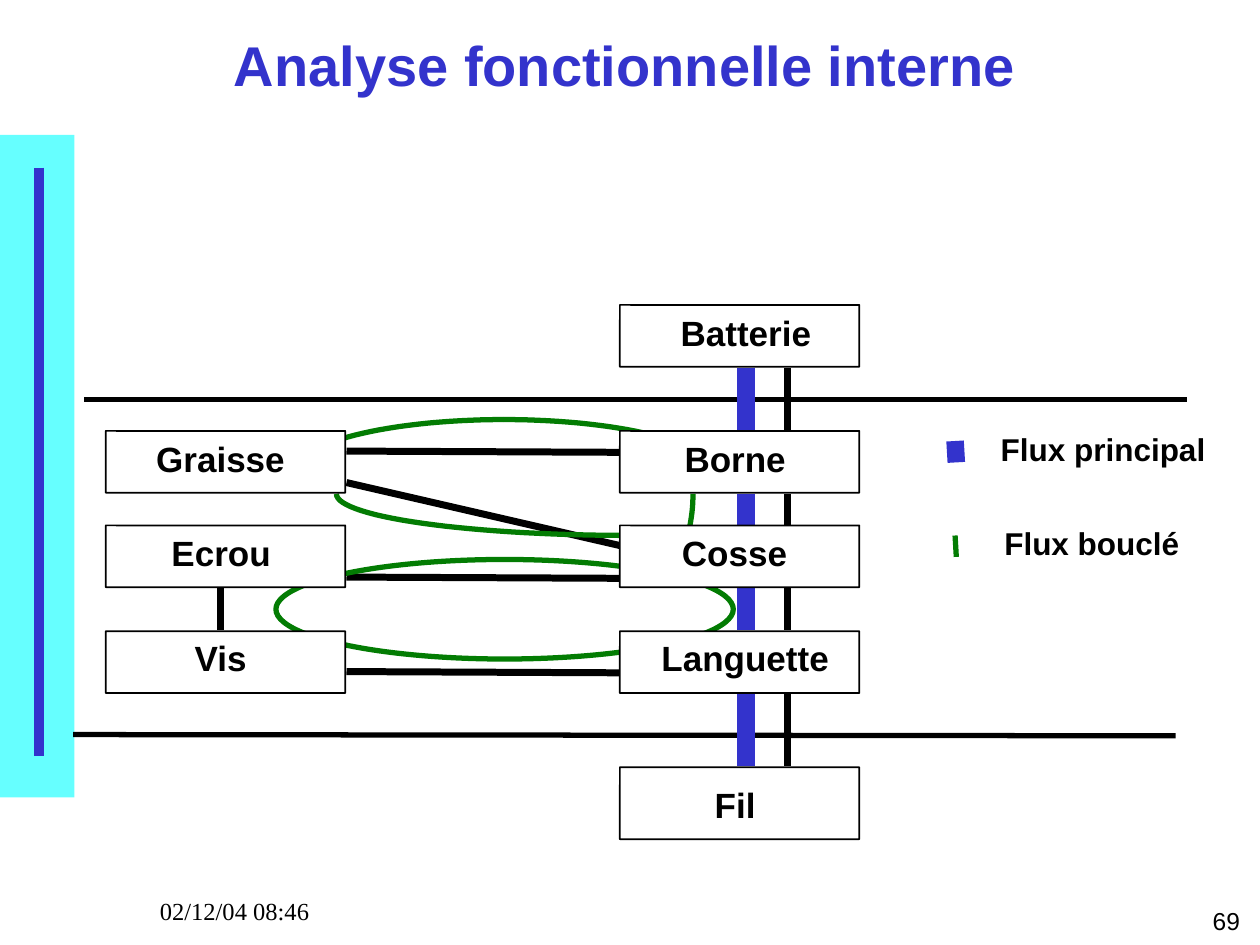
"""Build the internal functional analysis slide with its block diagram."""
import math
from dataclasses import dataclass
from typing import Any, Optional

from lxml import etree
from pptx import Presentation
from pptx import util as u
from pptx.dml import color
from pptx.enum import shapes, text
from pptx.oxml import ns

BLACK, WHITE, BLUE, GREEN, CYAN = "000000", "FFFFFF", "3333CC", "037C03", "66FFFF"
BOX_W, BOX_H = 1.9, 0.49
LEFT_X, RIGHT_X = 0.84, 4.92
BLUE_X, BLACK_X = 5.92, 6.25


@dataclass
class Label:
    text: str
    x: float
    y: float
    w: float
    h: float = 0.41
    size: float = 20
    font: str = "Arial"
    color: str = BLACK
    bold: bool = True
    align: Any = text.PP_ALIGN.CENTER
    anchor: Any = text.MSO_ANCHOR.TOP
    wrap: bool = False
    spacing: float = 0.93


@dataclass
class Box:
    x: float
    y: float
    label: Label
    h: float = BOX_H
    fill: Optional[str] = WHITE


@dataclass
class Line:
    x1: float
    y1: float
    x2: float
    y2: float
    color: str = BLACK
    width: float = 4


@dataclass
class Arc:
    cx: float
    cy: float
    rx: float
    ry: float
    start: float
    end: float


def rgb(value: str) -> color.RGBColor:
    return color.RGBColor.from_string(value)


def apply(target: Any, values: dict) -> None:
    for name, value in values.items():
        setattr(target, name, value)


def paint(sp: Any, fill: Optional[str], line: Optional[str], width: float = 1) -> None:
    sp.shadow.inherit = False
    if fill:
        sp.fill.solid()
        sp.fill.fore_color.rgb = rgb(fill)
    else:
        sp.fill.background()
    if line:
        sp.line.color.rgb = rgb(line)
        sp.line.width = u.Pt(width)
    else:
        sp.line.fill.background()


def add_shape(s: Any, kind: Any, x: float, y: float, w: float, h: float) -> Any:
    return s.shapes.add_shape(kind, *map(u.Inches, (x, y, w, h)))


def add_label(s: Any, lb: Label) -> None:
    sp = s.shapes.add_textbox(*map(u.Inches, (lb.x, lb.y, lb.w, lb.h)))
    tf = sp.text_frame
    apply(tf, {"word_wrap": lb.wrap, "vertical_anchor": lb.anchor})
    p = tf.paragraphs[0]
    apply(p, {"alignment": lb.align, "line_spacing": lb.spacing})
    r = p.add_run()
    r.text = lb.text
    apply(r.font, {"name": lb.font, "size": u.Pt(lb.size), "bold": lb.bold})
    r.font.color.rgb = rgb(lb.color)


def add_box(s: Any, box: Box) -> None:
    sp = add_shape(s, shapes.MSO_SHAPE.ROUNDED_RECTANGLE, box.x, box.y, BOX_W, box.h)
    sp.adjustments[0] = 0.004
    paint(sp, box.fill, BLACK)
    add_label(s, box.label)


def add_line(s: Any, ln: Line) -> None:
    ends = map(u.Inches, (ln.x1, ln.y1, ln.x2, ln.y2))
    sp = s.shapes.add_connector(shapes.MSO_CONNECTOR.STRAIGHT, *ends)
    sp.line.color.rgb = rgb(ln.color)
    sp.line.width = u.Pt(ln.width)
    etree.SubElement(sp._element.spPr, ns.qn("a:effectLst"))


def add_arc(s: Any, arc: Arc, steps: int = 30) -> None:
    angles = [math.radians(arc.start + (arc.end - arc.start) * i / steps)
              for i in range(steps + 1)]
    points = [(u.Inches(arc.cx + arc.rx * math.cos(a)),
               u.Inches(arc.cy + arc.ry * math.sin(a))) for a in angles]
    fb = s.shapes.build_freeform(*points[0])
    fb.add_line_segments(points[1:], close=False)
    paint(fb.convert_to_shape(), None, GREEN, 3)


FRAME = [
    Label("69", 7.86, 7.16, 2.08, 0.32, 14, bold=False,
          align=text.PP_ALIGN.RIGHT, wrap=True),
    Label("02/12/04 08:46", 1.17, 7.08, 2.08, 0.32, 14, "Times New Roman",
          bold=False, align=text.PP_ALIGN.LEFT, wrap=True, spacing=0.95),
    Label("Analyse fonctionnelle interne", 0.5, 0.08, 8.92, 0.92, 32, color=BLUE,
          anchor=text.MSO_ANCHOR.MIDDLE, wrap=True),
]
BOXES = [
    Box(RIGHT_X, 2.42, Label("Batterie", 5.3, 2.45, 1.24), fill=None),
    Box(RIGHT_X, 6.09, Label("Fil", 5.57, 6.2, 0.53), h=0.57, fill=None),
    Box(LEFT_X, 3.42, Label("Graisse", 1.14, 3.45, 1.22)),
    Box(RIGHT_X, 3.42, Label("Borne", 5.33, 3.45, 1.01)),
    Box(LEFT_X, 4.17, Label("Ecrou", 1.26, 4.2, 0.99)),
    Box(LEFT_X, 5.01, Label("Vis", 1.44, 5.03, 0.62)),
    Box(RIGHT_X, 4.17, Label("Cosse", 5.31, 4.2, 1.04)),
    Box(RIGHT_X, 5.01, Label("Languette", 5.15, 5.03, 1.53)),
]
GAPS = [(2.92, 3.42), (3.92, 4.17), (4.67, 5), (5.5, 6.08)]
LINES = [
    Line(0.31, 1.33, 0.31, 6, BLUE, 6),
    Line(0.58, 5.83, 9.33, 5.84, width=3),
    Line(0.67, 3.17, 9.42, 3.17, width=3),
    *[Line(BLACK_X, top, BLACK_X, bottom) for top, bottom in GAPS],
    *[Line(2.75, y, RIGHT_X, y + 0.01) for y in (5.33, 4.58, 3.58)],
    Line(2.75, 3.83, RIGHT_X, 4.33),
    Line(1.75, 4.67, 1.75, 5),
    *[Line(BLUE_X, top, BLUE_X, bottom, BLUE, 10) for top, bottom in GAPS],
    Line(7.58, 3.5, 7.59, 3.67, BLUE, 10),
    Line(7.58, 4.25, 7.59, 4.42, GREEN, 3),
]
ARCS = [
    Arc(4, 3.75, 1.67, 0.42, 0, -90),
    Arc(4, 3.75, 1.67, 0.42, -90, -180),
    Arc(5, 3.92, 2.33, 0.33, 180, 90),
    Arc(5.25, 3.92, 0.25, 0.58, 90, 0),
]
LEGEND = [
    Label("Flux principal", 7.84, 3.39, 1.83, 0.38, 18),
    Label("Flux bouclé", 7.87, 4.14, 1.59, 0.38, 18),
]


def main() -> None:
    prs = Presentation()
    apply(prs, {"slide_width": u.Inches(10), "slide_height": u.Inches(7.5)})
    s = prs.slides.add_slide(prs.slide_layouts[6])
    band = add_shape(s, shapes.MSO_SHAPE.RECTANGLE, 0, 1.07, 0.59, 5.26)
    paint(band, CYAN, None)
    for lb in FRAME + LEGEND:
        add_label(s, lb)
    for ln in LINES:
        add_line(s, ln)
    for arc in ARCS:
        add_arc(s, arc)
    loop = add_shape(s, shapes.MSO_SHAPE.OVAL, 2.19, 4.44, 3.63, 0.79)
    paint(loop, None, GREEN, 3)
    for box in BOXES:
        add_box(s, box)
    prs.save("out.pptx")


if __name__ == "__main__":
    main()
